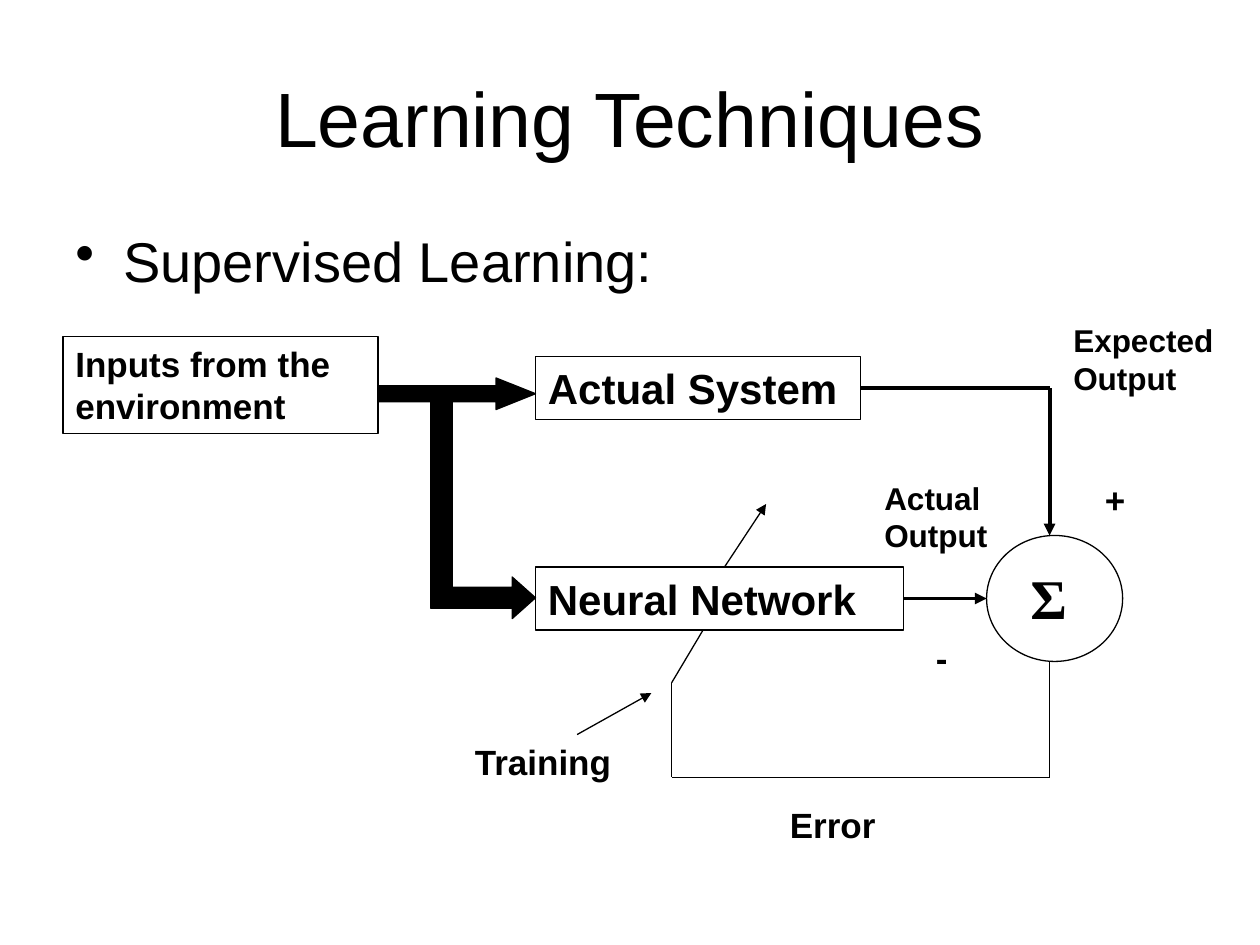
import pptx
import pptx.util
import pptx.dml.color
import pptx.enum.shapes
import pptx.enum.text
import pptx.oxml
import pptx.oxml.ns
from pptx.util import Inches, Pt

COLORS = {"ink": "000000", "paper": "FFFFFF"}
SHAPES = pptx.enum.shapes.MSO_SHAPE
ANCHOR = pptx.enum.text.MSO_ANCHOR
ALIGN = pptx.enum.text.PP_ALIGN


def color(name):
    return pptx.dml.color.RGBColor.from_string(COLORS[name])


def add_xml(parent, tag, **attrs):
    el = pptx.oxml.parse_xml(f"<a:{tag} {pptx.oxml.ns.nsdecls('a')}/>")
    for key, value in attrs.items():
        el.set(key, value)
    parent.append(el)


def write(sp, text, size, font="Arial", bold=True, align=ALIGN.LEFT, anchor=ANCHOR.TOP):
    tf = sp.text_frame
    tf.word_wrap = True
    tf.vertical_anchor = anchor
    tf.text = text
    p = tf.paragraphs[0]
    p.alignment = align
    r = p.runs[0]
    r.font.size, r.font.name, r.font.bold = Pt(size), font, bold
    r.font.color.rgb = color("ink")
    return p


def add_text(s, box, text, size, **style):
    sp = s.shapes.add_textbox(*map(Inches, box))
    return write(sp, text, size, **style)


def add_block(s, kind, box, fill=None, adjust=()):
    sp = s.shapes.add_shape(kind, *map(Inches, box))
    sp.shadow.inherit = False
    if fill:
        sp.fill.solid()
        sp.fill.fore_color.rgb = color(fill)
    else:
        sp.fill.background()
    sp.line.color.rgb = color("ink")
    sp.line.width = Pt(0.75)
    for i, value in enumerate(adjust):
        sp.adjustments[i] = value
    return sp


def add_line(s, start, end, width=0.75, arrow=False, source=None):
    cx = s.shapes.add_connector(
        pptx.enum.shapes.MSO_CONNECTOR.STRAIGHT, *map(Inches, (*start, *end)))
    if source is not None:
        cx.begin_connect(source, 3)
    cx.line.color.rgb = color("ink")
    cx.line.width = Pt(width)
    if arrow:
        add_xml(cx.line._get_or_add_ln(), "tailEnd", type="triangle")
    add_xml(cx._element.spPr, "effectLst")


def add_title(s, box):
    add_text(s, box, "Learning Techniques", 44, bold=False,
             align=ALIGN.CENTER, anchor=ANCHOR.MIDDLE)


def add_body(s, box):
    p = add_text(s, box, "Supervised Learning:", 32, bold=False)
    pPr = p._p.get_or_add_pPr()
    pPr.set("marL", str(Inches(0.38)))
    pPr.set("indent", str(-Inches(0.38)))
    add_xml(pPr, "buChar", char="•")


def add_diagram(s, box):
    left, top = box[:2]

    def at(x, y, *size):
        return (left + x, top + y, *size)

    # Labelled boxes
    blocks = {}
    for text, size, place in [
        ("Inputs from the environment", 20, at(0, 0.17, 2.5, 0.77)),
        ("Neural Network", 24, at(3.75, 2, 2.92, 0.5)),
        ("Actual System", 24, at(3.75, 0.33, 2.58, 0.5)),
    ]:
        blocks[text] = add_block(s, SHAPES.RECTANGLE, place)
        write(blocks[text], text, size)

    # Thick branching input arrow
    add_block(s, SHAPES.RIGHT_ARROW, at(2.5, 0.5, 1.25, 0.25), "ink", (0.5, 1.25))
    add_block(s, SHAPES.RECTANGLE, at(2.92, 0.58, 0.17, 1.75), "ink")
    add_block(s, SHAPES.RIGHT_ARROW, at(3, 2.08, 0.75, 0.33), "ink", (0.5, 0.56))

    # Summing node and the two outputs that enter it
    add_block(s, SHAPES.OVAL, at(7.33, 1.75, 1.08, 1))
    add_text(s, at(7.58, 1.92, 0.67, 0.64), "Σ", 32, font="Times New Roman")
    corner = at(7.83, 0.58)
    add_line(s, at(6.67, 2.25), at(7.33, 2.25), 2.25, True, blocks["Neural Network"])
    add_line(s, at(6.33, 0.58), corner, 2.25, source=blocks["Actual System"])
    add_line(s, corner, at(7.83, 1.75), 2.25, True)

    # Error feedback path, passing behind the network
    path = [at(7.83, 2.75), at(7.83, 3.67), at(4.83, 3.67), at(4.83, 2.92), at(5.08, 2.5)]
    for start, end in zip(path, path[1:]):
        add_line(s, start, end)
    add_line(s, at(5.25, 2), at(5.58, 1.5), arrow=True)

    # Labels
    for text, size, place in [
        ("Error", 20, at(5.67, 3.83, 1.33, 0.44)),
        ("+", 20, at(8.17, 1.25, 0.5, 0.44)),
        ("-", 20, at(6.83, 2.5, 0.42, 0.44)),
        ("Expected Output", 18, at(7.92, 0, 1.33, 0.7)),
        ("Actual Output", 18, at(6.42, 1.25, 1.17, 0.7)),
        ("Training", 20, at(3.17, 3.33, 1.58, 0.44)),
    ]:
        add_text(s, place, text, size)
    add_line(s, at(4.08, 3.33), at(4.67, 3), arrow=True)


def main():
    prs = pptx.Presentation()
    prs.slide_width, prs.slide_height = Inches(10), Inches(7.5)
    s = prs.slides.add_slide(prs.slide_layouts[6])
    s.background.fill.solid()
    s.background.fill.fore_color.rgb = color("paper")
    add_title(s, (0.5, 0.3, 9, 1.25))
    add_body(s, (0.5, 1.75, 9, 4.95))
    add_diagram(s, (0.5, 2.5, 9.25, 4.27))
    prs.save("out.pptx")


if __name__ == "__main__":
    main()
